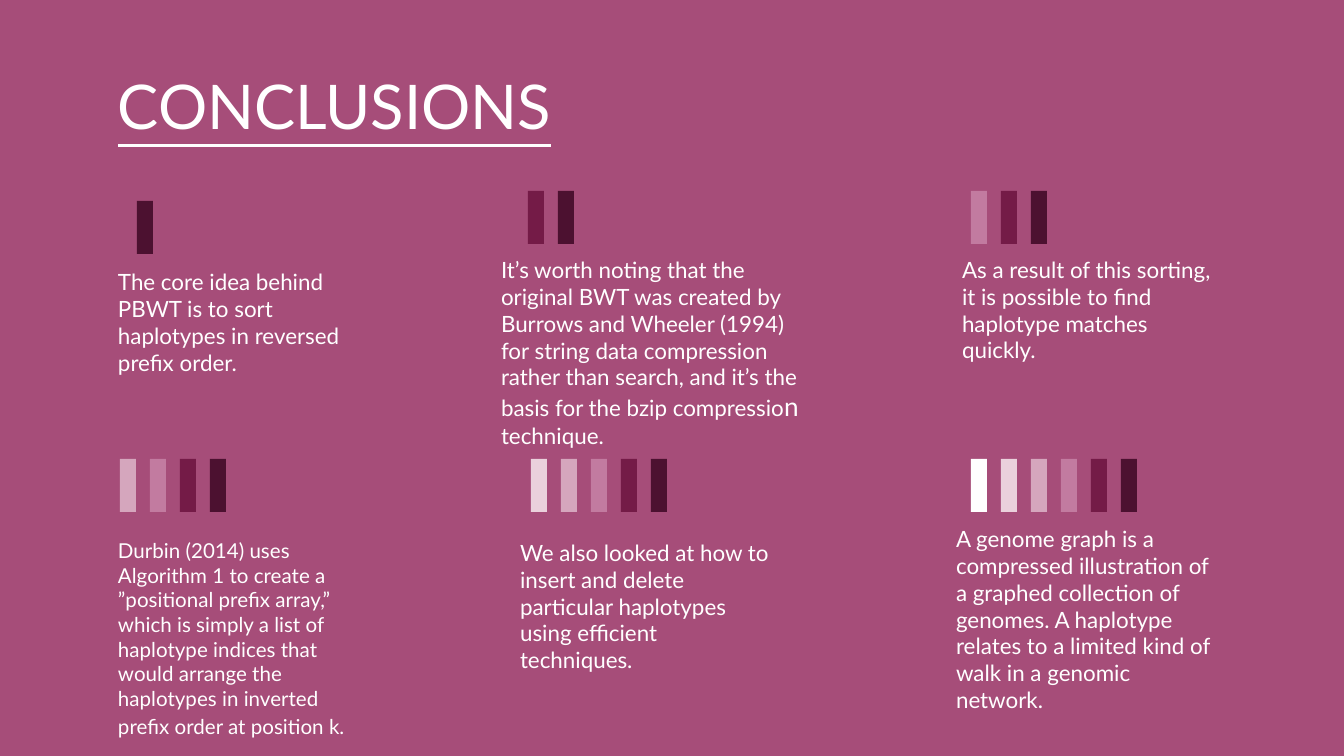
from pptx import Presentation
from pptx.dml.color import RGBColor as RGB
from pptx.enum.shapes import MSO_SHAPE as Shape
from pptx.enum.text import MSO_ANCHOR as Anchor, MSO_AUTO_SIZE as AutoSize, PP_ALIGN as Align
from pptx.util import Pt

SCALE = 9144000 / 1344
INSET = 13
COLORS = {
    "background": "A64D79",
    "text": "FFFFFF",
    "white": "FFFFFF",
    "blush": "EAD1DC",
    "pink": "D5A6BD",
    "rose": "C27BA0",
    "wine": "741B47",
    "plum": "4C1130",
}
TALLY = ["white", "blush", "pink", "rose", "wine", "plum"]
BAR_WIDTH, BAR_HEIGHT, BAR_PITCH = 16, 53, 30


def emu(px):
    return round(px * SCALE)


def write(holder, text, box, size=12, underline=None):
    holder.left, holder.top, holder.width, holder.height = map(emu, box)
    frame = holder.text_frame
    frame.word_wrap = True
    frame.auto_size = AutoSize.NONE
    frame.vertical_anchor = Anchor.TOP
    frame.margin_left = frame.margin_right = emu(INSET)
    frame.margin_top = frame.margin_bottom = emu(INSET)
    paragraph = frame.paragraphs[0]
    paragraph.alignment = Align.LEFT
    pieces = [(text, size)] if isinstance(text, str) else text
    for words, points in pieces:
        run = paragraph.add_run()
        run.text = words
        run.font.name = "Lato"
        run.font.size = Pt(points)
        run.font.underline = underline
        run.font.color.rgb = RGB.from_string(COLORS["text"])


deck = Presentation()
deck.slide_width, deck.slide_height = emu(1344), emu(756)
slide = deck.slides.add_slide(deck.slide_layouts[5])
slide.background.fill.solid()
slide.background.fill.fore_color.rgb = RGB.from_string(COLORS["background"])

write(slide.shapes.title, "CONCLUSIONS", (105, 55, 802, 70), size=33, underline=True)

conclusions = [
    ("The core idea behind PBWT is to sort haplotypes in reversed prefix order.",
     (105, 255, 281, 110), (137, 201)),
    ([("It’s worth noting that the original BWT was created by Burrows and Wheeler "
       "(1994) for string data compression rather than search, and it’s the basis "
       "for the bzip compressio", 12), ("n ", 14), ("technique.", 12)],
     (488, 243, 333, 132), (528, 191)),
    ("As a result of this sorting, it is possible to find haplotype matches quickly.",
     (949, 243, 281, 167), (971, 191)),
    ([("Durbin (2014) uses Algorithm 1 to create a ”positional prefix array,” which "
       "is simply a list of haplotype indices that would arrange the haplotypes in "
       "inverted prefix order at position k.", 11), (" ", 13)],
     (105, 525, 281, 230), (120, 459)),
    ("We also looked at how to insert and delete particular haplotypes using "
     "efficient techniques.",
     (507, 526, 281, 151), (531, 459)),
    ("A genome graph is a compressed illustration of a graphed collection of genomes. "
     "A haplotype relates to a limited kind of walk in a genomic network.",
     (943, 512, 281, 206), (971, 459)),
]

for number, (conclusion, box, (tally_left, tally_top)) in enumerate(conclusions, start=1):
    write(slide.shapes.add_textbox(0, 0, 0, 0), conclusion, box)
    for step, shade in enumerate(TALLY[-number:]):
        bar = slide.shapes.add_shape(
            Shape.RECTANGLE, emu(tally_left + step * BAR_PITCH), emu(tally_top),
            emu(BAR_WIDTH), emu(BAR_HEIGHT))
        bar.shadow.inherit = False
        bar.fill.solid()
        bar.fill.fore_color.rgb = RGB.from_string(COLORS[shade])
        bar.line.fill.background()

deck.save("out.pptx")
